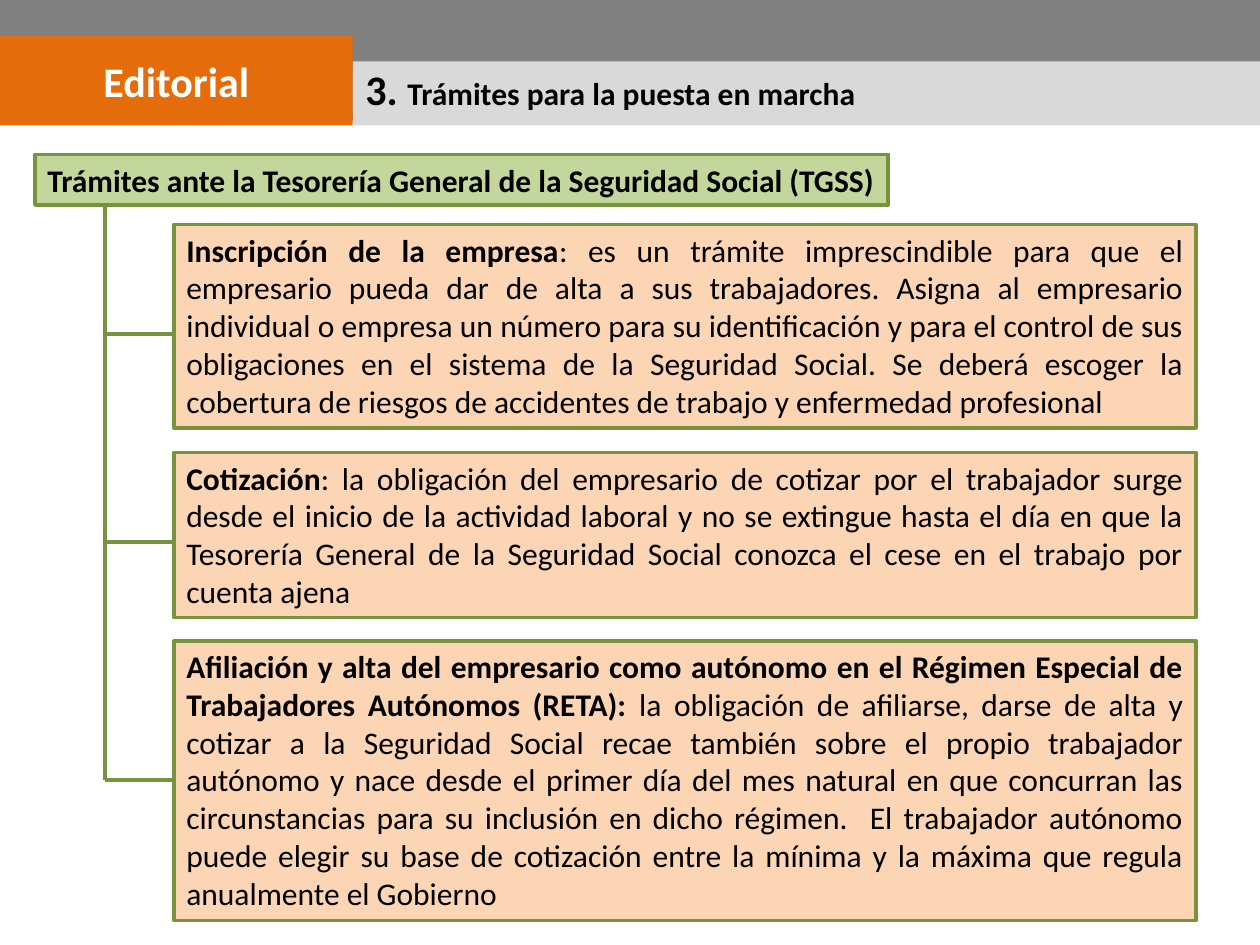
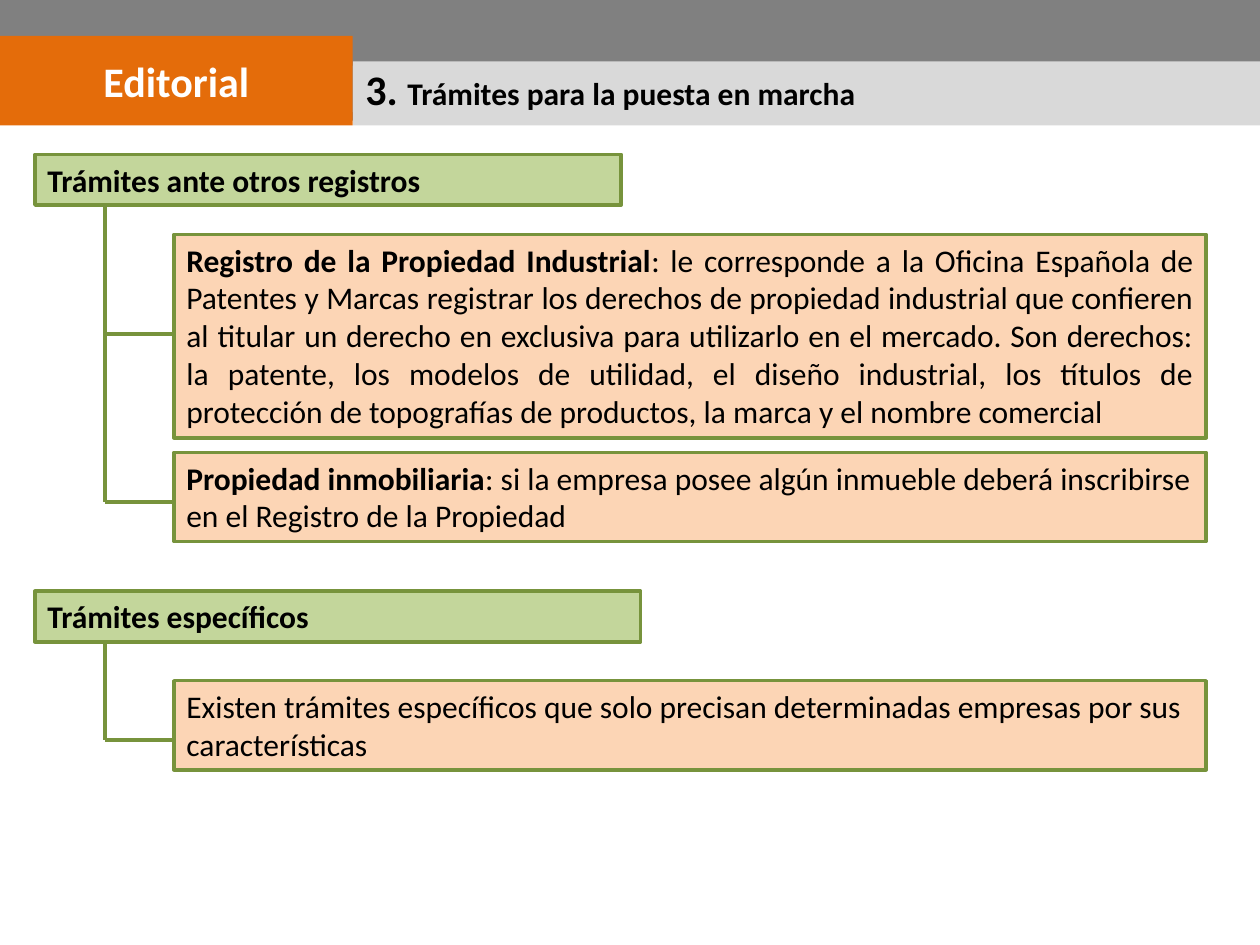
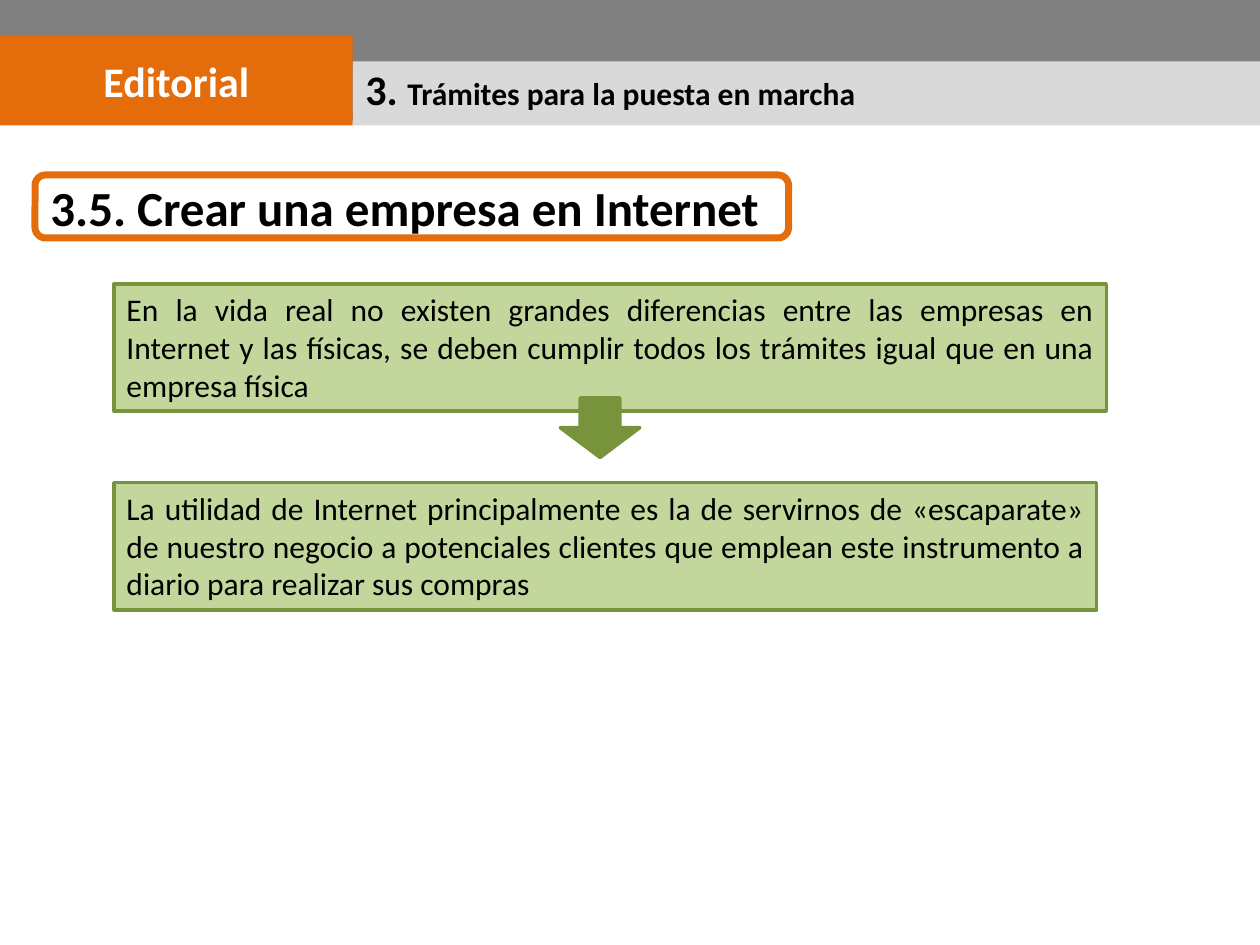
"""Build three slides on the steps for starting up a company."""
from dataclasses import dataclass

from lxml.etree import SubElement as Sub
from pptx import Presentation
from pptx.dml.color import RGBColor as Rgb
from pptx.enum.shapes import MSO_CONNECTOR as Conn, MSO_SHAPE as Kind
from pptx.enum.text import MSO_ANCHOR as Anchor, MSO_AUTO_SIZE as Fit, PP_ALIGN as Align
from pptx.oxml.ns import qn
from pptx.util import Pt


@dataclass(frozen=True)
class Theme:
    font: str = "Calibri"
    black: str = "000000"
    white: str = "FFFFFF"
    dark: str = "808080"
    light: str = "D9D9D9"
    brand: str = "E46C0A"
    green: str = "C3D69B"
    edge: str = "77933C"
    peach: str = "FCD5B5"
    body: int = 18
    large: int = 24
    topic: int = 28
    border: float = 2
    link: float = 2.25
    frame: float = 4


class Deck:
    def __init__(self, theme):
        self.look = theme
        self.show = Presentation()
        self.show.slide_width, self.show.slide_height = Pt(720), Pt(540)
        self.base = self.show.slide_layouts[5]
        self.page = None

    def paint(self, item, fill, line=None, width=0):
        item.fill.solid()
        item.fill.fore_color.rgb = Rgb.from_string(fill)
        if line:
            item.line.color.rgb = Rgb.from_string(line)
            item.line.width = Pt(width)
        else:
            item.line.fill.background()

    def label(self, frame, runs, size, color=None, bold=None, align=Align.LEFT):
        para = frame.paragraphs[0]
        para.alignment = align
        font = para.font
        font.name, font.size, font.bold = self.look.font, Pt(size), bold
        font.color.rgb = Rgb.from_string(color or self.look.black)
        for text in runs:
            para.add_run().text = text
        return para

    def shape(self, kind, area, fill, line=None, width=0):
        item = self.page.shapes.add_shape(kind, *map(Pt, area))
        item.shadow.inherit = False
        self.paint(item, fill, line, width)
        item.text_frame.vertical_anchor = Anchor.MIDDLE
        return item

    def bands(self):
        look = self.look
        bars = [
            self.shape(Kind.RECTANGLE, (0, 0, 720, 69), look.dark),
            self.shape(Kind.RECTANGLE, (201.6, 35, 518.4, 36.7), look.light),
            self.shape(Kind.RECTANGLE, (0, 20.5, 201.6, 51.2), look.brand),
        ]
        self.label(bars[-1].text_frame, ["Editorial"], look.large, look.white, True, Align.CENTER)
        tree = self.base.shapes._spTree
        for step, bar in enumerate(bars):
            node = bar._element
            node.nvSpPr.cNvPr.set("id", str(20 + step))
            tree.insert(2 + step, node)

    def slide(self, num, text):
        first = self.page is None
        self.page = self.show.slides.add_slide(self.base)
        if first:
            self.bands()
        title = self.page.shapes.title
        title.left, title.top, title.width, title.height = map(Pt, (201.6, 37.5, 518.4, 26.6))
        self.paint(title, self.look.light)
        frame = title.text_frame
        frame.auto_size, frame.vertical_anchor = Fit.NONE, Anchor.MIDDLE
        para = self.label(frame, [num, text], self.look.body, bold=True)
        para.runs[0].font.size = Pt(self.look.large)

    def box(self, area, fill, runs, bold=None, align=Align.LEFT):
        item = self.page.shapes.add_textbox(*map(Pt, area))
        self.paint(item, fill, self.look.edge, self.look.border)
        frame = item.text_frame
        frame.word_wrap, frame.auto_size = True, Fit.SHAPE_TO_FIT_TEXT
        return self.label(frame, runs, self.look.body, bold=bold, align=align)

    def link(self, *ends):
        line = self.page.shapes.add_connector(Conn.STRAIGHT, *map(Pt, ends))
        line.line.color.rgb = Rgb.from_string(self.look.edge)
        line.line.width = Pt(self.look.link)
        Sub(line._element.spPr, qn("a:effectLst"))

    def tree(self, head, top, width, span, notes):
        left, high, trunk, inner = 20, 29, 59.8, 99.4
        self.box((left, top, width, high), self.look.green, [head], True)
        for y, tall, mid, align, lead, text in notes:
            runs = [part for part in (lead, text) if part]
            para = self.box((inner, y, span, tall), self.look.peach, runs, align=align)
            if lead:
                para.runs[0].font.bold = True
            self.link(trunk, mid, inner, mid)
        self.link(trunk, top + high, trunk, notes[-1][2])

    def topic(self, area, text):
        look = self.look
        item = self.shape(Kind.ROUNDED_RECTANGLE, area, look.white, look.brand, look.frame)
        self.label(item.text_frame, [text], look.topic, bold=True)

    def arrow(self, area):
        self.shape(Kind.DOWN_ARROW, area, self.look.edge, self.look.edge, self.look.border)


def main():
    deck = Deck(Theme())
    title = "3. ", "Trámites para la puesta en marcha"
    just, left = Align.JUSTIFY, Align.LEFT

    deck.slide(*title)
    deck.tree("Trámites ante la Tesorería General de la Seguridad Social (TGSS)", 88.2, 487.6, 584, [
        (128.2, 116.3, 190.8, just, "Inscripción de la empresa",
         ": es un trámite imprescindible para que el empresario pueda dar de alta a sus "
         "trabajadores. Asigna al empresario individual o empresa un número para su "
         "identificación y para el control de sus obligaciones en el sistema de la Seguridad "
         "Social. Se deberá escoger la cobertura de riesgos de accidentes de trabajo y "
         "enfermedad profesional"),
        (258.5, 94.5, 309.6, just, "Cotización",
         ": la obligación del empresario de cotizar por el trabajador surge desde el inicio de "
         "la actividad laboral y no se extingue hasta el día en que la Tesorería General de la "
         "Seguridad Social conozca el cese en el trabajo por cuenta ajena"),
        (366.2, 159.9, 445.6, just,
         "Afiliación y alta del empresario como autónomo en el Régimen Especial de "
         "Trabajadores Autónomos (RETA): ",
         "la obligación de afiliarse, darse de alta y cotizar a la Seguridad Social recae "
         "también sobre el propio trabajador autónomo y nace desde el primer día del mes "
         "natural en que concurran las circunstancias para su inclusión en dicho régimen.  El "
         "trabajador autónomo puede elegir su base de cotización entre la mínima y la máxima "
         "que regula anualmente el Gobierno"),
    ])

    deck.slide(*title)
    deck.tree("Trámites ante otros registros", 88.2, 335, 589.8, [
        (133.9, 116.3, 190.8, just, "Registro de la Propiedad Industrial",
         ": le corresponde a la Oficina Española de Patentes y Marcas registrar los derechos "
         "de propiedad industrial que confieren al titular un derecho en exclusiva para "
         "utilizarlo en el mercado. Son derechos: la patente, los modelos de utilidad, el "
         "diseño industrial, los títulos de protección de topografías de productos, la marca "
         "y el nombre comercial"),
        (258.5, 50.9, 287, left, "Propiedad inmobiliaria",
         ": si la empresa posee algún inmueble deberá inscribirse en el Registro de la "
         "Propiedad"),
    ])
    deck.tree("Trámites específicos", 337.8, 346, 589.8, [
        (389, 50.9, 423, left, "",
         "Existen trámites específicos que solo precisan determinadas empresas por sus "
         "características"),
    ])

    deck.slide(*title)
    for top, width, text in (
        (162.2, 567, "En la vida real no existen grandes diferencias entre las empresas en "
         "Internet y las físicas, se deben cumplir todos los trámites igual que en una "
         "empresa física"),
        (275.8, 561.4, "La utilidad de Internet principalmente es la de servirnos de "
         "«escaparate» de nuestro negocio a potenciales clientes que emplean este "
         "instrumento a diario para realizar sus compras"),
    ):
        deck.box((65.2, top, width, 72.7), deck.look.green, [text], align=just)
    deck.arrow((320.2, 227.4, 45.4, 34))
    deck.topic((20, 100, 430.6, 36), "3.5. Crear una empresa en Internet")

    deck.show.save("out.pptx")


if __name__ == "__main__":
    main()
